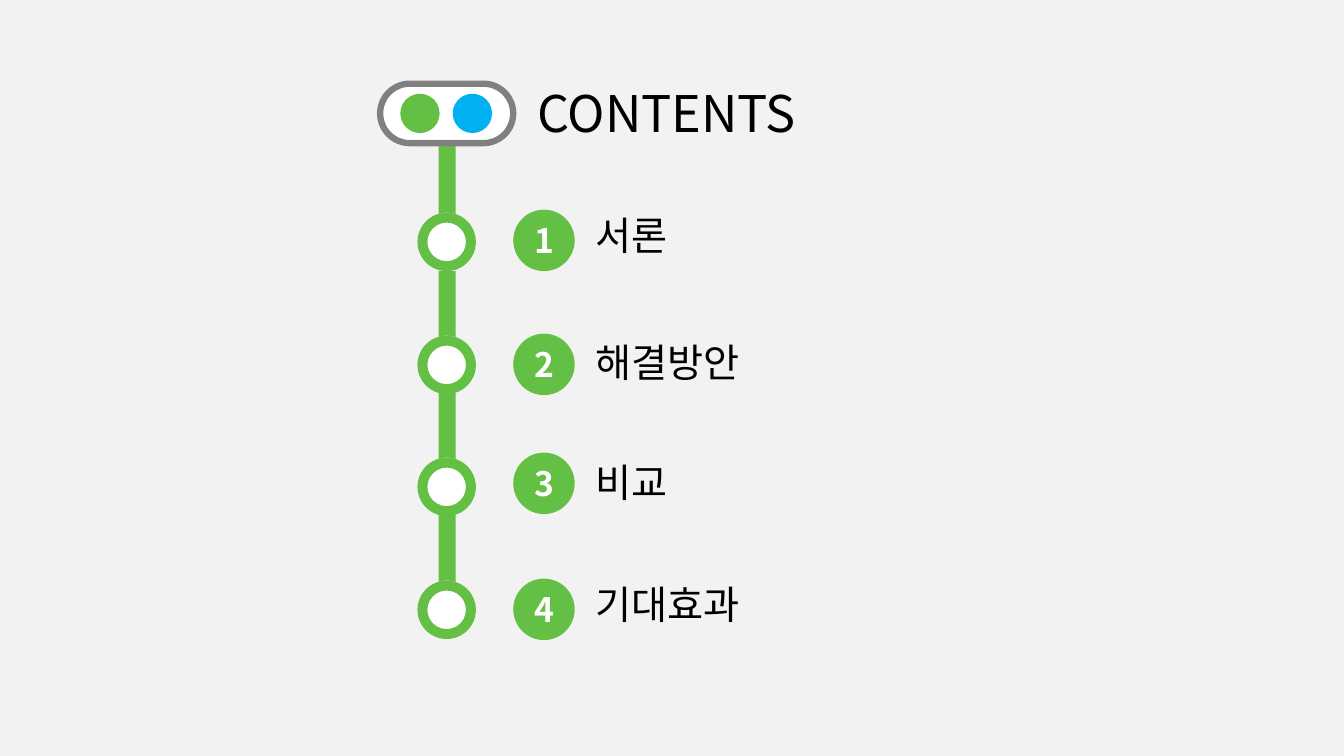
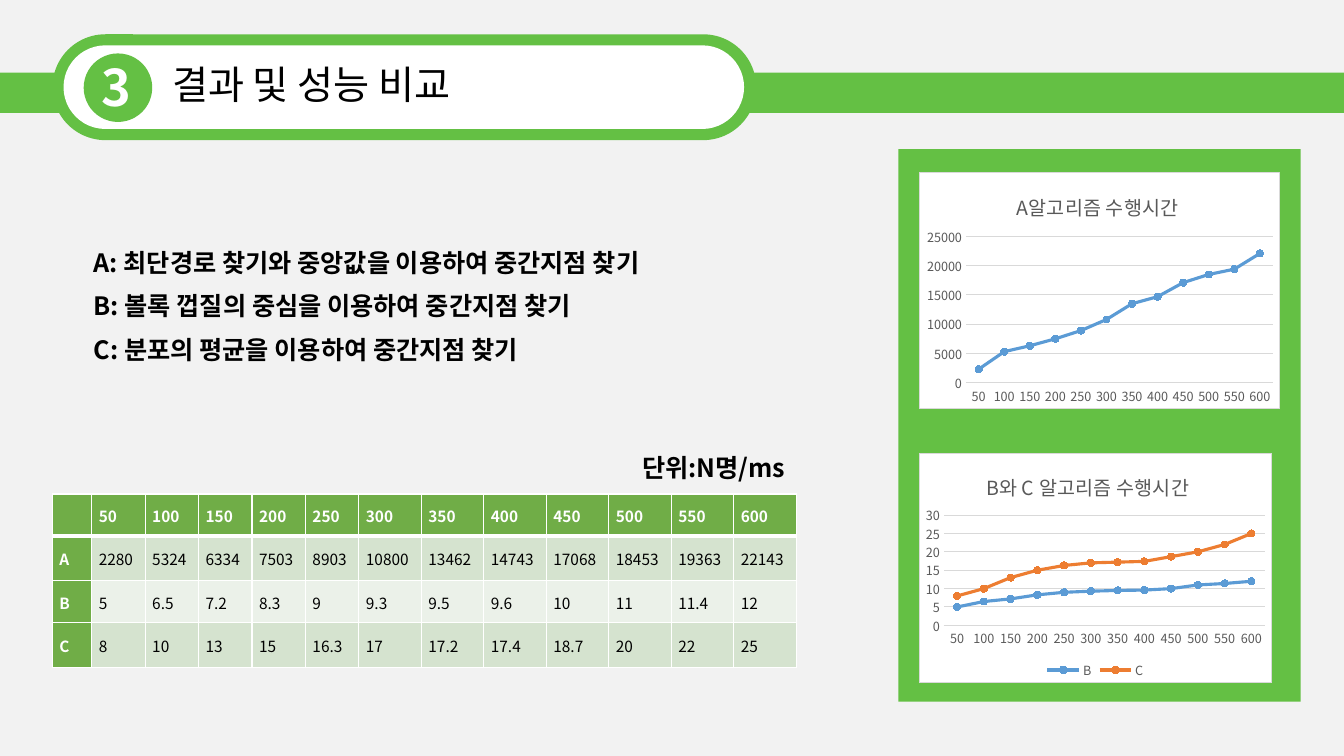
from lxml.etree import SubElement
from pptx import Presentation
from pptx.chart.data import CategoryChartData
from pptx.dml.color import RGBColor
from pptx.enum.chart import XL_CHART_TYPE, XL_LEGEND_POSITION, XL_MARKER_STYLE, XL_TICK_MARK
from pptx.enum.shapes import MSO_SHAPE
from pptx.enum.text import MSO_ANCHOR, MSO_AUTO_SIZE, PP_ALIGN
from pptx.oxml import parse_xml
from pptx.oxml.ns import nsdecls, qn
from pptx.util import Inches, Pt

COLORS = {
    "page": "F2F2F2", "green": "64C044", "blue": "00B0F0", "gray": "808080",
    "white": "FFFFFF", "black": "000000",
    "head": "70AD47", "odd": "D5E3CF", "even": "EBF1E9",
    "grid": "D9D9D9", "label": "595959", "series1": "5B9BD5", "series2": "ED7D31",
}
FONT = "Noto Sans CJK KR"


def rgb(name):
    return RGBColor.from_string(COLORS[name])


def style_font(font, size, color="black", bold=False):
    font.size, font.bold, font.name = Pt(size), bold, FONT
    font.color.rgb = rgb(color)
    SubElement(font._element, qn("a:ea"), typeface=FONT)


def write(frame, text, *, size, color="black", bold=False, align=None, line=None, after=None):
    """Fill a text frame, one paragraph for each line of text."""
    for i, content in enumerate(text.split("\n")):
        paragraph = frame.add_paragraph() if i else frame.paragraphs[0]
        paragraph.alignment = align
        paragraph.line_spacing = line
        paragraph.space_after = None if after is None else Pt(after)
        run = paragraph.add_run()
        run.text = content
        style_font(run.font, size, color, bold)


def manual_layout(x, y, w=None, h=None):
    inner = '<c:layoutTarget val="inner"/>' if w else ""
    size = f'<c:w val="{w}"/><c:h val="{h}"/>' if w else ""
    return parse_xml(
        f'<c:layout {nsdecls("c")}><c:manualLayout>{inner}<c:xMode val="edge"/>'
        f'<c:yMode val="edge"/><c:x val="{x}"/><c:y val="{y}"/>{size}'
        "</c:manualLayout></c:layout>")


class Deck:
    """Shared style and the slide being built."""

    def __init__(self):
        self.prs = Presentation()
        self.prs.slide_width, self.prs.slide_height = Inches(13.33), Inches(7.5)
        fill = self.prs.slide_master.background.fill
        fill.solid()
        fill.fore_color.rgb = rgb("page")
        self.slide = None

    def new_slide(self):
        self.slide = self.prs.slides.add_slide(self.prs.slide_layouts[6])

    def shape(self, kind, x, y, w, h, fill, *, adjust=None, line=None):
        shape = self.slide.shapes.add_shape(kind, Inches(x), Inches(y), Inches(w), Inches(h))
        shape.shadow.inherit = False
        shape.fill.solid()
        shape.fill.fore_color.rgb = rgb(fill)
        if adjust is not None:
            shape.adjustments[0] = adjust
        if line:
            shape.line.color.rgb, shape.line.width = rgb(line[0]), Pt(line[1])
        else:
            shape.line.fill.background()
        return shape

    def bar(self, x, y, w, h):
        self.shape(MSO_SHAPE.RECTANGLE, x, y, w, h, "green")

    def pill(self, x, y, w, h, fill, line=None):
        self.shape(MSO_SHAPE.ROUNDED_RECTANGLE, x, y, w, h, fill, adjust=0.5, line=line)

    def dot(self, x, y, size, fill):
        return self.shape(MSO_SHAPE.OVAL, x, y, size, size, fill)

    def text(self, x, y, w, h, content, **style):
        box = self.slide.shapes.add_textbox(Inches(x), Inches(y), Inches(w), Inches(h))
        box.text_frame.word_wrap = True
        box.text_frame.auto_size = MSO_AUTO_SIZE.SHAPE_TO_FIT_TEXT
        write(box.text_frame, content, **style)

    def station(self, y):
        self.dot(4.17, y, 0.52, "white")
        self.shape(MSO_SHAPE.DONUT, 4.14, y, 0.58, 0.58, "green", adjust=0.17)

    def badge(self, y, number):
        frame = self.dot(5.09, y, 0.61, "green").text_frame
        frame.vertical_anchor = MSO_ANCHOR.MIDDLE
        write(frame, number, size=24, color="white", bold=True, align=PP_ALIGN.CENTER)

    def section_header(self, number, title):
        self.bar(0, 0.72, 13.33, 0.4)
        self.pill(0.52, 0.34, 6.98, 1.05, "green")
        self.pill(0.63, 0.45, 6.75, 0.83, "white")
        self.dot(0.83, 0.53, 0.68, "green")
        self.text(1.61, 0.55, 4.74, 0.57, title, size=28)
        self.text(0.91, 0.51, 0.54, 0.71, number, size=36, color="white", bold=True)

    def cell(self, cell, text, fill, *, header, label):
        cell.vertical_anchor = MSO_ANCHOR.MIDDLE
        cell.margin_left = cell.margin_right = Inches(0.07)
        cell.margin_top = cell.margin_bottom = 0
        for side in "LRTB":
            width = Pt(3 if header and side == "B" else 1)
            cell._tc.get_or_add_tcPr().append(parse_xml(
                f'<a:ln{side} {nsdecls("a")} w="{width}"><a:solidFill>'
                f'<a:srgbClr val="{COLORS["white"]}"/></a:solidFill></a:ln{side}>'))
        cell.fill.solid()
        cell.fill.fore_color.rgb = rgb(fill)
        if text:
            write(cell.text_frame, text, size=11, color="white" if label else "black",
                  bold=label, align=PP_ALIGN.JUSTIFY, line=1.07, after=8)

    def table(self, x, y, widths, heights, rows):
        table = self.slide.shapes.add_table(
            len(rows), len(widths), Inches(x), Inches(y),
            Inches(sum(widths)), Inches(sum(heights))).table
        for column, width in zip(table.columns, widths):
            column.width = Inches(width)
        for r, values in enumerate(rows):
            table.rows[r].height = Inches(heights[r])
            for c, value in enumerate(values):
                label = r == 0 or c == 0
                fill = "head" if label else "odd" if r % 2 else "even"
                self.cell(table.cell(r, c), str(value), fill, header=r == 0, label=label)

    def line_chart(self, x, y, w, h, title, categories, series, *,
                   top, step, plot, title_at, legend=False):
        data = CategoryChartData()
        data.categories = categories
        for name, values in series.items():
            data.add_series(name, values)
        chart = self.slide.shapes.add_chart(
            XL_CHART_TYPE.LINE_MARKERS, Inches(x), Inches(y), Inches(w), Inches(h), data).chart
        style_font(chart.font, 10)

        # Title and plot position
        write(chart.chart_title.text_frame, title, size=14, color="label")
        chart.chart_title.include_in_layout = False
        title_xml = chart.chart_title._element
        area = chart._chartSpace.chart.plotArea
        for parent in (title_xml, area):
            for old in parent.findall(qn("c:layout")):
                parent.remove(old)
        title_xml.find(qn("c:tx")).addnext(manual_layout(*title_at))
        area.insert(0, manual_layout(*plot))

        # White panel with a thin border
        chart._chartSpace.chart.addnext(parse_xml(
            f'<c:spPr {nsdecls("c", "a")}><a:solidFill><a:srgbClr val="{COLORS["white"]}"/>'
            f'</a:solidFill><a:ln w="{Pt(0.75)}"><a:solidFill><a:srgbClr val="{COLORS["grid"]}"/>'
            "</a:solidFill></a:ln></c:spPr>"))

        # Axes
        sizes, amounts = chart.category_axis, chart.value_axis
        for axis in (sizes, amounts):
            axis.major_tick_mark = axis.minor_tick_mark = XL_TICK_MARK.NONE
            style_font(axis.tick_labels.font, 9, "label")
        amounts.minimum_scale, amounts.maximum_scale, amounts.major_unit = 0, top, step
        amounts.has_major_gridlines = True
        for line in (sizes.format.line, amounts.major_gridlines.format.line):
            line.color.rgb, line.width = rgb("grid"), Pt(0.75)
        amounts.format.line.fill.background()

        # Series and legend
        chart.plots[0].vary_by_categories = False
        for curve, color in zip(chart.plots[0].series, ("series1", "series2")):
            curve.smooth = False
            curve.format.line.color.rgb, curve.format.line.width = rgb(color), Pt(2.25)
            marker = curve.marker
            marker.style, marker.size = XL_MARKER_STYLE.CIRCLE, 5
            marker.format.fill.solid()
            marker.format.fill.fore_color.rgb = rgb(color)
            marker.format.line.color.rgb = rgb(color)
        chart.has_legend = legend
        if legend:
            chart.legend.position = XL_LEGEND_POSITION.BOTTOM
            chart.legend.include_in_layout = False
            style_font(chart.legend.font, 9, "label")


def contents_slide(deck):
    deck.new_slide()
    # Track running through the stations
    for top, length in ((1.42, 0.94), (2.69, 0.97), (3.62, 1.03), (4.89, 0.99)):
        deck.bar(4.35, top, 0.17, length)

    # Chapters: station, badge and name
    chapters = (("서론", 2.11, 2.08, 2.05), ("해결방안", 3.33, 3.31, 3.31),
                ("비교", 4.54, 4.49, 4.5), ("기대효과", 5.76, 5.74, 5.71))
    for number, (name, station_y, badge_y, name_y) in enumerate(chapters, 1):
        deck.station(station_y)
        deck.badge(badge_y, str(number))
        deck.text(5.81, name_y, 2.78, 0.57, name, size=28)

    # Heading with signal lights
    deck.pill(3.77, 0.83, 1.32, 0.59, "white", line=("gray", 4.5))
    deck.dot(3.97, 0.93, 0.39, "green")
    deck.dot(4.49, 0.93, 0.39, "blue")
    deck.text(5.23, 0.77, 3.99, 0.71, "CONTENTS", size=36, align=PP_ALIGN.JUSTIFY)


def results_slide(deck):
    people = list(range(50, 601, 50))
    times = {
        "A": [2280, 5324, 6334, 7503, 8903, 10800, 13462, 14743, 17068, 18453, 19363, 22143],
        "B": [5, 6.5, 7.2, 8.3, 9, 9.3, 9.5, 9.6, 10, 11, 11.4, 12],
        "C": [8, 10, 13, 15, 16.3, 17, 17.2, 17.4, 18.7, 20, 22, 25],
    }
    deck.new_slide()
    deck.bar(8.91, 1.48, 3.99, 5.48)
    deck.section_header("3", "결과 및 성능 비교")

    # Algorithms compared
    note = {"size": 18, "bold": True, "line": 1.07, "after": 8}
    deck.text(0.83, 2.38, 7.18, 1.27,
              "A: 최단경로 찾기와 중앙값을 이용하여 중간지점 찾기\n"
              "B: 볼록 껍질의 중심을 이용하여 중간지점 찾기\n"
              "C: 분포의 평균을 이용하여 중간지점 찾기", **note)

    # Measured times
    rows = [["", *people]] + [[name, *values] for name, values in times.items()]
    deck.table(0.52, 4.9, [0.39] + [0.53] * 5 + [0.62] * 7, [0.42, 0.44] * 2, rows)
    deck.text(6.27, 4.42, 2.2, 0.4, "단위:N명/ms", **note)

    # Charts on the green panel
    labels = [str(count) for count in people]
    deck.line_chart(9.11, 4.49, 3.51, 2.29, "B와 C 알고리즘 수행시간", labels,
                    {name: times[name] for name in "BC"}, top=30, step=5,
                    plot=(0.07, 0.27, 0.91, 0.48), title_at=(0.18, 0.06), legend=True)
    deck.line_chart(9.11, 1.71, 3.59, 2.35, "A알고리즘 수행시간", labels,
                    {"Series 1": [round(value, -2) for value in times["A"]]},
                    top=25000, step=5000,
                    plot=(0.13, 0.27, 0.85, 0.62), title_at=(0.26, 0.06))


def main():
    deck = Deck()
    contents_slide(deck)
    results_slide(deck)
    deck.prs.save("out.pptx")


if __name__ == "__main__":
    main()
